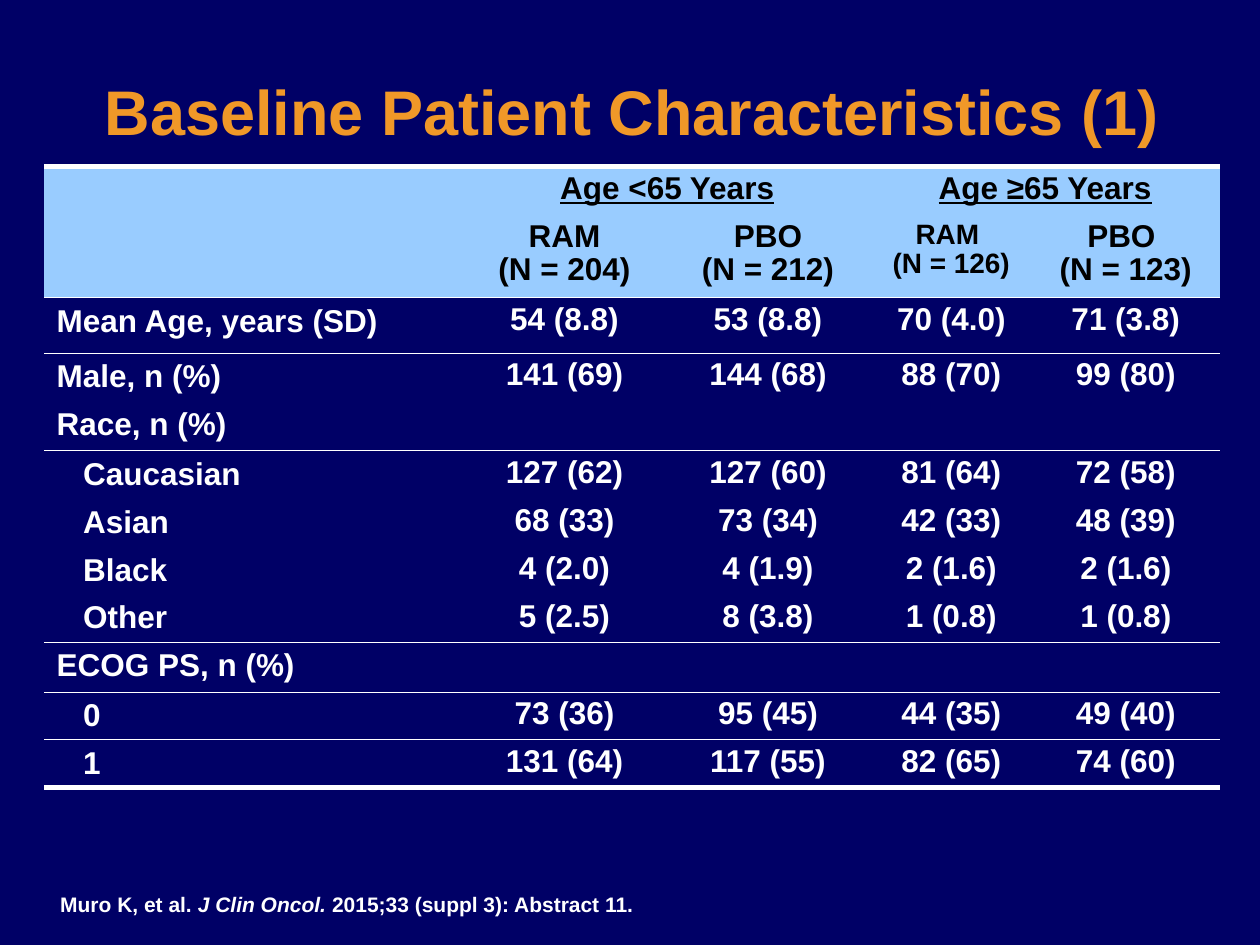
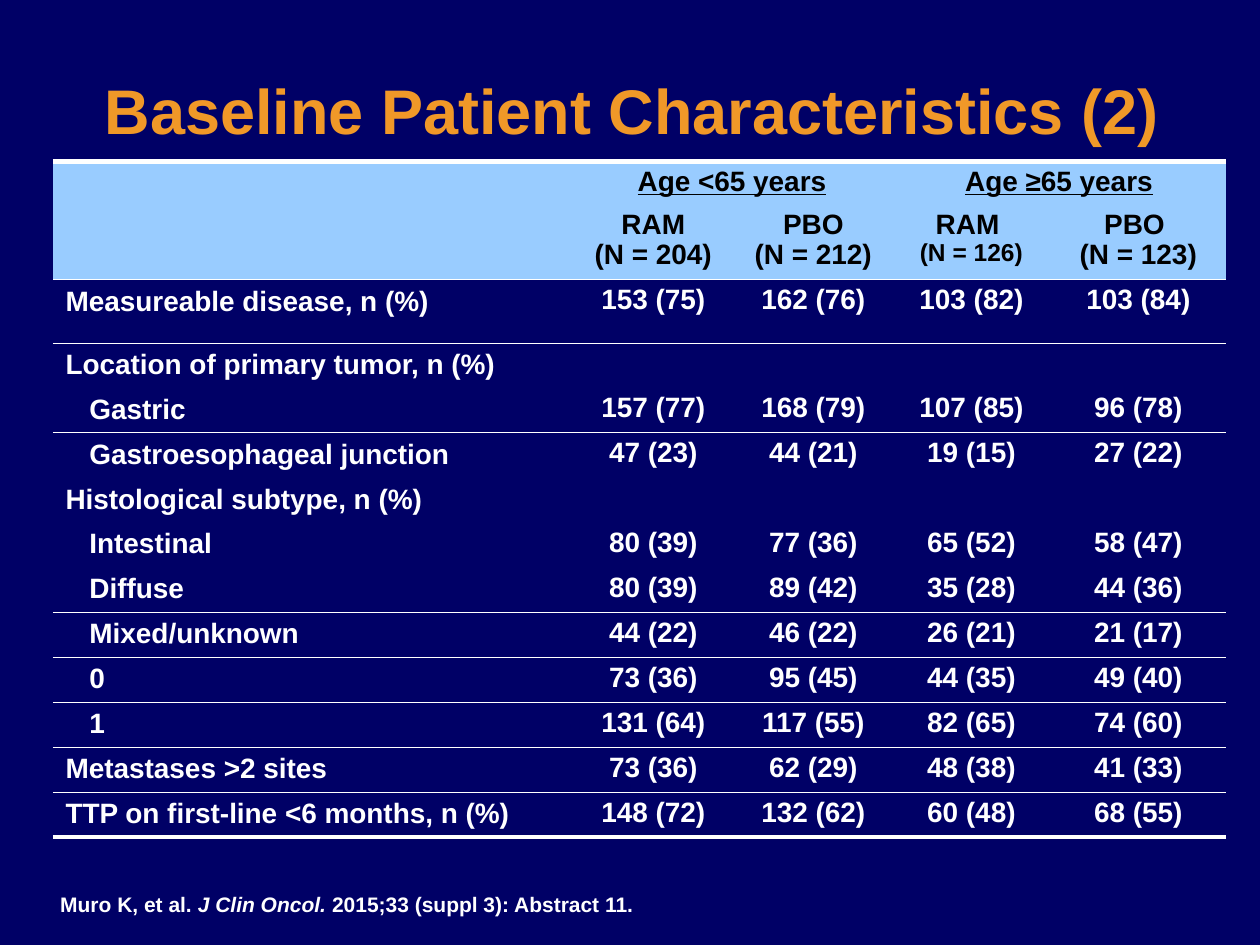
"""Build two slides of baseline patient characteristics by age group."""
from dataclasses import dataclass

from lxml.etree import SubElement
from pptx import Presentation
from pptx.dml.color import RGBColor
from pptx.enum.text import MSO_AUTO_SIZE as AutoSize, PP_ALIGN as Align
from pptx.oxml.ns import qn
from pptx.util import Inches, Pt

COLORS = {"navy": "000066", "orange": "F09828", "sky": "99CCFF", "white": "FFFFFF", "black": "000000"}
FONT = "Arial"
HEAVY, MEDIUM, THIN = 3, 1, 0.25
HEADER_ROWS = 2


@dataclass
class Row:
    label: str
    values: tuple = ("", "", "", "")
    indented: bool = False
    ruled: bool = False


@dataclass
class Arm:
    name: str
    count: str
    name_size: int
    count_size: int


@dataclass
class Characteristics:
    title: str
    title_top: float
    frame: tuple
    columns: tuple
    leading_heights: tuple
    row_height: float
    size: int
    indent: float
    groups: tuple
    arms: tuple
    rows: tuple


SLIDES = (
    Characteristics(
        "Baseline Patient Characteristics (1)", 0.62, (0.35, 1.32, 9.34, 5.14),
        (3.33, 1.6, 1.63, 1.28, 1.49), (0.38, 0.66, 0.44), 0.38, 18, 0.21,
        ("Age <65 Years", "Age ≥65 Years"),
        (Arm("RAM", "(N = 204)", 18, 18), Arm("PBO", "(N = 212)", 18, 18),
         Arm("RAM ", "(N = 126)", 16, 16), Arm("PBO ", "(N = 123)", 18, 18)),
        (Row("Mean Age, years (SD)", ("54 (8.8)", "53 (8.8)", "70 (4.0)", "71 (3.8)"), ruled=True),
         Row("Male, n (%)", ("141 (69)", "144 (68)", "88 (70)", "99 (80)")),
         Row("Race, n (%)", ruled=True),
         Row("Caucasian", ("127 (62)", "127 (60)", "81 (64)", "72 (58)"), True),
         Row("Asian", ("68 (33)", "73 (34)", "42 (33)", "48 (39)"), True),
         Row("Black", ("4 (2.0)", "4 (1.9)", "2 (1.6)", "2 (1.6)"), True),
         Row("Other", ("5 (2.5)", "8 (3.8)", "1 (0.8)", "1 (0.8)"), True, True),
         Row("ECOG PS, n (%)", ruled=True),
         Row("0", ("73 (36)", "95 (45)", "44 (35)", "49 (40)"), True, True),
         Row("1", ("131 (64)", "117 (55)", "82 (65)", "74 (60)"), True)),
    ),
    Characteristics(
        "Baseline Patient Characteristics (2)", 0.61, (0.42, 1.28, 9.32, 5.53),
        (4.12, 1.29, 1.25, 1.26, 1.39), (0.34, 0.59, 0.5), 0.34, 16, 0.19,
        ("Age <65 years", "Age ≥65 years"),
        (Arm("RAM", "(N = 204)", 16, 16), Arm("PBO", "(N = 212)", 16, 16),
         Arm("RAM ", "(N = 126)", 16, 14), Arm("PBO ", "(N = 123)", 16, 16)),
        (Row("Measureable disease, n (%)", ("153 (75)", "162 (76)", "103 (82)", "103 (84)"), ruled=True),
         Row("Location of primary tumor, n (%)"),
         Row("Gastric", ("157 (77)", "168 (79)", "107 (85)", "96 (78)"), True, True),
         Row("Gastroesophageal junction", ("47 (23)", "44 (21)", "19 (15)", "27 (22)"), True),
         Row("Histological subtype, n (%)"),
         Row("Intestinal", ("80 (39)", "77 (36)", "65 (52)", "58 (47)"), True),
         Row("Diffuse", ("80 (39)", "89 (42)", "35 (28)", "44 (36)"), True, True),
         Row("Mixed/unknown", ("44 (22)", "46 (22)", "26 (21)", "21 (17)"), True, True),
         Row("0", ("73 (36)", "95 (45)", "44 (35)", "49 (40)"), True, True),
         Row("1", ("131 (64)", "117 (55)", "82 (65)", "74 (60)"), True, True),
         Row("Metastases >2 sites", ("73 (36)", "62 (29)", "48 (38)", "41 (33)"), ruled=True),
         Row("TTP on first-line <6 months, n (%)", ("148 (72)", "132 (62)", "60 (48)", "68 (55)"))),
    ),
)
CITATION = (("Muro K, et al. ", False), ("J Clin Oncol. ", True),
            ("2015;33 (suppl 3): Abstract 11.", False))


def rgb(name: str) -> RGBColor:
    return RGBColor.from_string(COLORS[name])


def style_span(span, size: int, color: str) -> None:
    span.font.name = FONT
    span.font.size = Pt(size)
    span.font.bold = True
    span.font.color.rgb = rgb(color)


def add_text(page, frame: tuple, align: Align, spacing: float):
    box = page.shapes.add_textbox(*map(Inches, frame))
    box.text_frame.word_wrap = True
    box.text_frame.auto_size = AutoSize.SHAPE_TO_FIT_TEXT
    para = box.text_frame.paragraphs[0]
    para.alignment = align
    para.line_spacing = spacing
    return para


def add_title(page, text: str, top: float) -> None:
    para = add_text(page, (0.32, top, 9.39, 0.62), Align.CENTER, 0.85)
    para.text = text
    style_span(para.runs[0], 36, "orange")


def add_citation(page) -> None:
    para = add_text(page, (0.38, 7.04, 6.63, 0.29), Align.LEFT, 0.95)
    for text, italic in CITATION:
        span = para.add_run()
        span.text = text
        style_span(span, 12, "white")
        span.font.italic = italic


def set_borders(cell, above: float, below: float) -> None:
    properties = cell._tc.get_or_add_tcPr()
    for side, width in (("L", 0), ("R", 0), ("T", above), ("B", below)):
        line = SubElement(properties, qn(f"a:ln{side}"), w=str(Pt(width)))
        if width:
            fill = SubElement(line, qn("a:solidFill"))
            SubElement(fill, qn("a:srgbClr"), val=COLORS["white"])
        else:
            SubElement(line, qn("a:noFill"))


def prepare_cell(cell, size: int, header: bool) -> None:
    cell.margin_left = cell.margin_right = Inches(0.1)
    cell.margin_top, cell.margin_bottom = Inches(0.05), Inches(0.04)
    cell.text_frame.paragraphs[0]._p.get_or_add_endParaRPr().set("sz", str(size * 100))
    if header:
        cell.fill.solid()
        cell.fill.fore_color.rgb = rgb("sky")
    else:
        cell.fill.background()


def write_cell(cell, text: str, sizes: tuple, color: str, align: Align = Align.CENTER) -> None:
    if not text:
        return
    para = cell.text_frame.paragraphs[0]
    para.text = text
    para.alignment = align
    if align == Align.CENTER:
        para.line_spacing = 0.95
    for span, size in zip(para.runs, sizes):
        style_span(span, size, color)


def add_characteristics(page, data: Characteristics) -> None:
    row_count = HEADER_ROWS + len(data.rows)
    frame = page.shapes.add_table(row_count, len(data.columns), *map(Inches, data.frame))
    table = frame.table
    table.first_row = table.horz_banding = False
    for column, width in zip(table.columns, data.columns):
        column.width = Inches(width)
    for index, row in enumerate(table.rows):
        leading = index < len(data.leading_heights)
        row.height = Inches(data.leading_heights[index] if leading else data.row_height)
    frame.height = Inches(data.frame[3])

    rules = [HEAVY, 0, MEDIUM, *(THIN if row.ruled else 0 for row in data.rows[:-1]), HEAVY]
    for index in range(row_count):
        for column in range(len(data.columns)):
            cell = table.cell(index, column)
            corner = index == column == 0
            set_borders(cell, rules[index], MEDIUM if corner else rules[index + 1])
            prepare_cell(cell, data.size, index < HEADER_ROWS)

    table.cell(0, 0).merge(table.cell(1, 0))
    for index, group in enumerate(data.groups):
        left = 1 + 2 * index
        heading = table.cell(0, left)
        heading.merge(table.cell(0, left + 1))
        write_cell(heading, group, (data.size,), "black")
        heading.text_frame.paragraphs[0].runs[0].font.underline = True
    for column, arm in enumerate(data.arms, 1):
        write_cell(table.cell(1, column), f"{arm.name}\v{arm.count}",
                   (arm.name_size, arm.count_size), "black")

    for index, row in enumerate(data.rows, HEADER_ROWS):
        label = table.cell(index, 0)
        write_cell(label, row.label, (data.size,), "white", Align.LEFT)
        if row.indented:
            label.margin_left = Inches(0.1 + data.indent)
        for column, value in enumerate(row.values, 1):
            write_cell(table.cell(index, column), value, (data.size,), "white")


def main() -> None:
    deck = Presentation()
    deck.slide_width, deck.slide_height = Inches(10), Inches(7.5)
    for data in SLIDES:
        page = deck.slides.add_slide(deck.slide_layouts[6])
        page.background.fill.solid()
        page.background.fill.fore_color.rgb = rgb("navy")
        add_characteristics(page, data)
        add_title(page, data.title, data.title_top)
        add_citation(page)
    deck.save("out.pptx")


if __name__ == "__main__":
    main()
